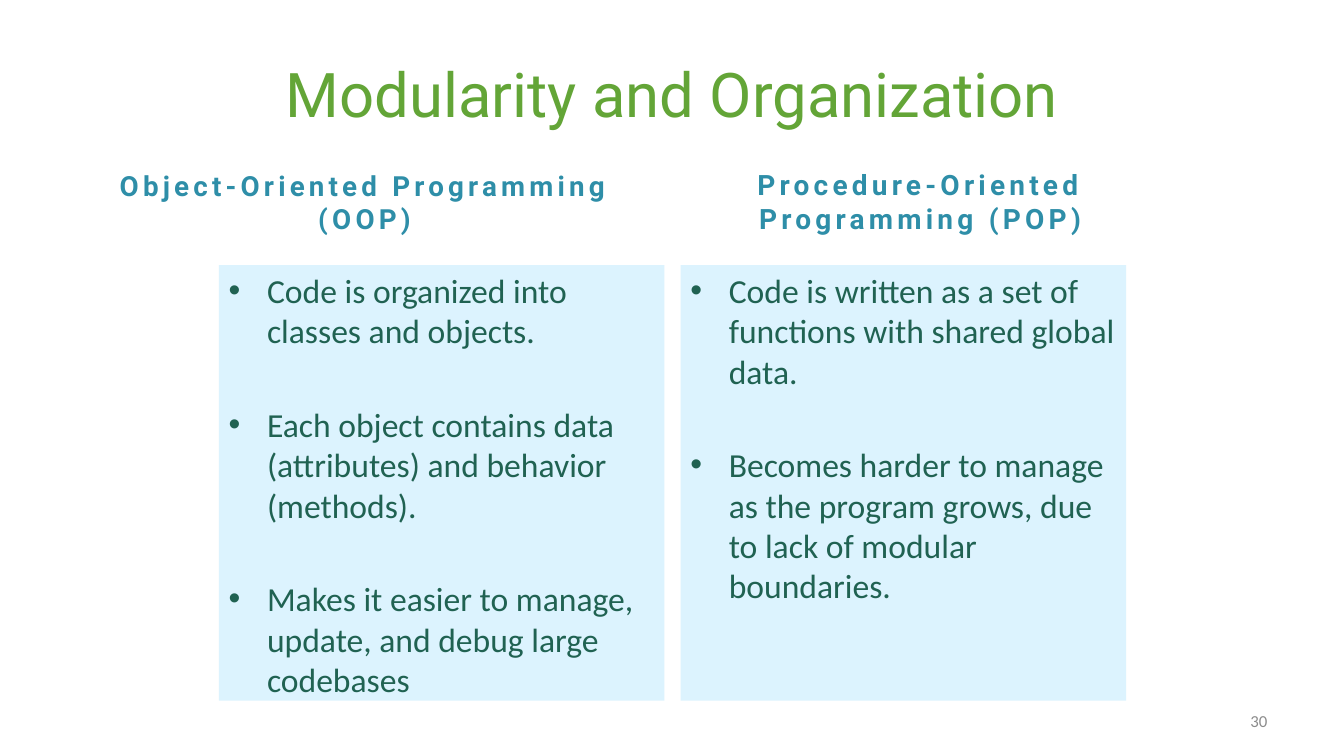
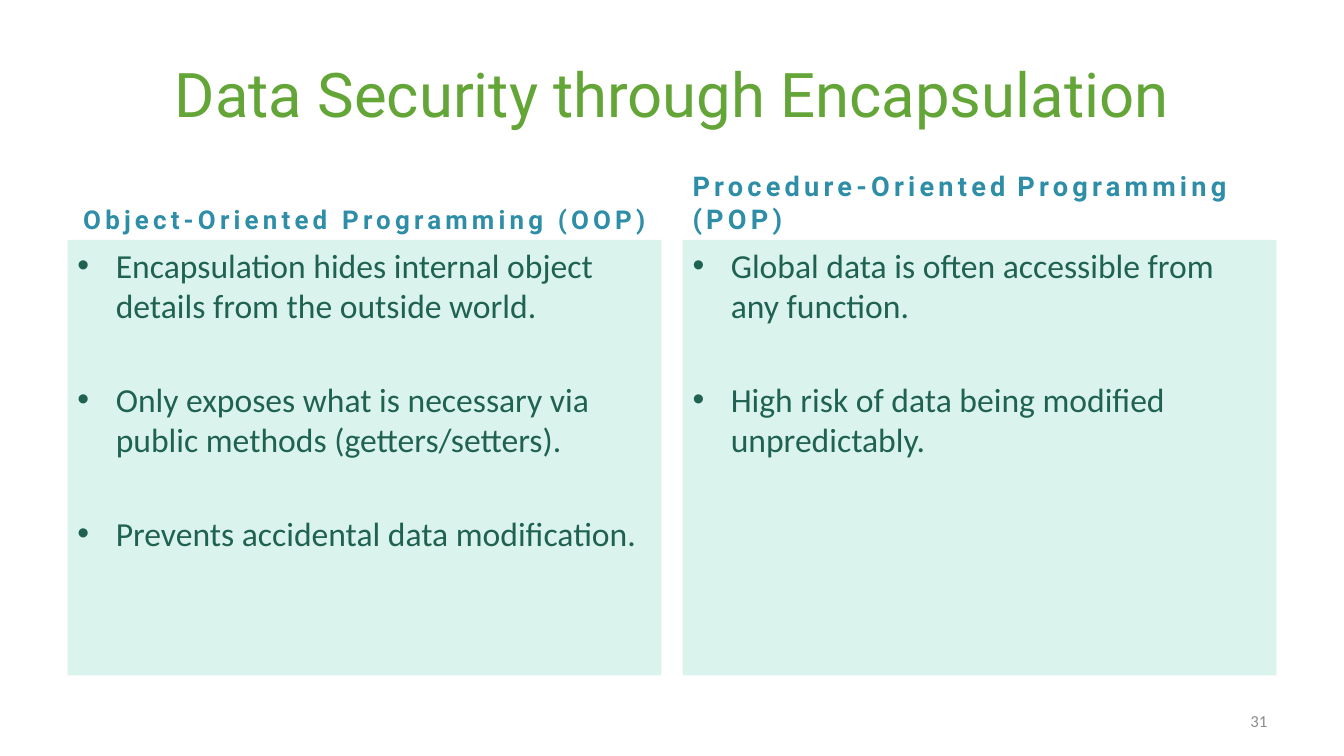
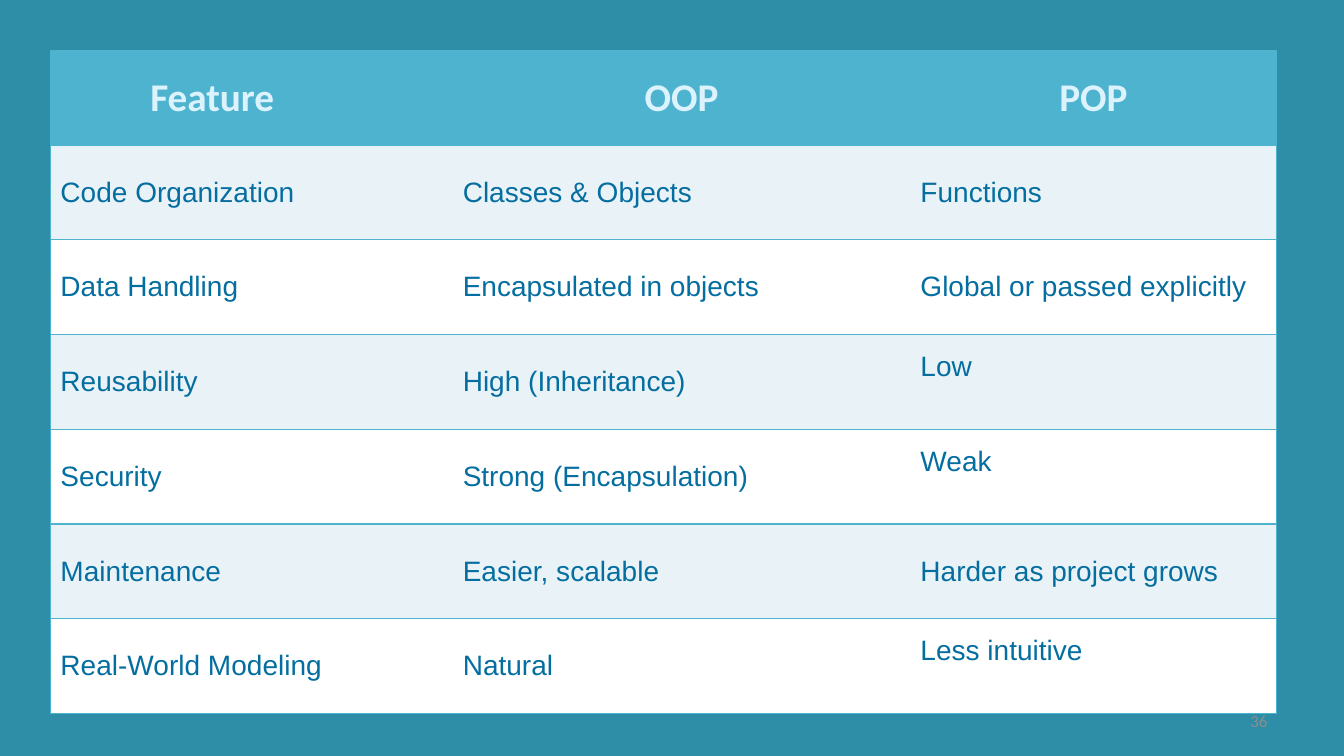
from lxml import etree
from pptx import Presentation
from pptx.dml.color import RGBColor
from pptx.enum import shapes, text
from pptx.oxml import ns
from pptx.util import Inches, Pt

# Shared style
GREEN, TEAL, DARK_GREEN, GREY = "63A537", "2E8EA8", "206252", "8C8C8C"
SKY, MINT, WHITE = "DCF3FE", "DAF3ED", "FFFFFF"
RULE, BAND, TABLE_BLUE = "4EB3CF", "E9F2F6", "056EA0"
HEAD_FONT, BODY_FONT, TABLE_FONT = "Roboto", "Calibri", "Arial"
LEFT, CENTER, RIGHT = text.PP_ALIGN.LEFT, text.PP_ALIGN.CENTER, text.PP_ALIGN.RIGHT
TOP, MIDDLE, BOTTOM = (text.MSO_ANCHOR.TOP, text.MSO_ANCHOR.MIDDLE,
                       text.MSO_ANCHOR.BOTTOM)

# Shared geometry, in inches
MARGIN, HEAD_TOP, HEAD_HEIGHT, PANEL_HEIGHT = 0.67, 1.68, 0.7, 4.32
INDENT = Inches(0.38)


def color(hex_code):
    return RGBColor.from_string(hex_code)


def paint(fill, hex_code):
    fill.solid()
    fill.fore_color.rgb = color(hex_code)


def style_run(run, size, font, hex_code, bold=False, spacing=0):
    run.font.size = Pt(size)
    run.font.name = font
    run.font.bold = bold
    run.font.color.rgb = color(hex_code)
    if spacing:
        run.font._element.set("spc", str(spacing * 100))


def set_frame(frame, anchor):
    frame.word_wrap = True
    frame.auto_size = text.MSO_AUTO_SIZE.NONE
    frame.vertical_anchor = anchor


def add_label(slide, box, anchor, align):
    """Add an empty text box and return its first paragraph."""
    frame = slide.shapes.add_textbox(*map(Inches, box)).text_frame
    set_frame(frame, anchor)
    frame.paragraphs[0].alignment = align
    return frame.paragraphs[0]


def set_title(slide, words):
    title = slide.shapes.title
    title.left, title.top, title.width, title.height = map(
        Inches, (MARGIN, 0.3, 12, 1.25))
    title.text_frame.text = words
    set_frame(title.text_frame, MIDDLE)
    paragraph = title.text_frame.paragraphs[0]
    paragraph.alignment = CENTER
    style_run(paragraph.runs[0], 44, HEAD_FONT, GREEN)


def add_page_number(slide, number):
    paragraph = add_label(slide, (9.56, 6.95, 3.11, 0.4), MIDDLE, RIGHT)
    paragraph.text = str(number)
    style_run(paragraph.runs[0], 12, BODY_FONT, GREY)


def add_heading(slide, left, width, parts, size, align=CENTER):
    """Add a spaced bold heading; a wider space joins its parts."""
    paragraph = add_label(slide, (left, HEAD_TOP, width, HEAD_HEIGHT), BOTTOM, align)
    for index, part in enumerate(parts):
        if index:
            joint = paragraph.add_run()
            joint.text = " "
            style_run(joint, 22.2, BODY_FONT, TEAL, bold=True)
        run = paragraph.add_run()
        run.text = part
        style_run(run, size, HEAD_FONT, TEAL, bold=True, spacing=3)


def add_bullet_panel(slide, left, top, width, fill, points):
    panel = slide.shapes.add_shape(
        shapes.MSO_SHAPE.RECTANGLE,
        *map(Inches, (left, top, width, PANEL_HEIGHT)))
    panel.shadow.inherit = False
    panel.line.fill.background()
    paint(panel.fill, fill)
    set_frame(panel.text_frame, TOP)
    panel.text_frame.text = "\n".join(points)
    for index, paragraph in enumerate(panel.text_frame.paragraphs):
        paragraph.alignment = LEFT
        paragraph.space_before = Pt(38 if index else 0)
        props = paragraph._p.get_or_add_pPr()
        props.set("marL", str(INDENT))
        props.set("indent", str(-INDENT))
        etree.SubElement(props, ns.qn("a:buFont")).set("typeface", "Arial")
        etree.SubElement(props, ns.qn("a:buChar")).set("char", "•")
        style_run(paragraph.runs[0], 24, BODY_FONT, DARK_GREEN)


def set_borders(cell, visible):
    """Draw the sides named in visible (of L, R, T, B); hide the others."""
    props = cell._tc.get_or_add_tcPr()
    for side in "LRTB":
        line = etree.SubElement(props, ns.qn("a:ln" + side), w=str(Pt(1)))
        if side in visible:
            solid = etree.SubElement(line, ns.qn("a:solidFill"))
            etree.SubElement(solid, ns.qn("a:srgbClr"), val=RULE)
        else:
            etree.SubElement(line, ns.qn("a:noFill"))


def add_feature_table(slide, rows, widths, row_height, raised):
    table = slide.shapes.add_table(
        len(rows), len(widths), Inches(0.5), Inches(0.5),
        Inches(sum(widths)), Inches(row_height * len(rows))).table
    for column, width in zip(table.columns, widths):
        column.width = Inches(width)
    for r, row in enumerate(rows):
        table.rows[r].height = Inches(row_height)
        for c, words in enumerate(row):
            cell = table.cell(r, c)
            sides = "TB" + ("L" if c == 0 else "R" if c == len(row) - 1 else "")
            set_borders(cell, sides)
            paint(cell.fill, RULE if r == 0 else BAND if r % 2 else WHITE)
            cell.vertical_anchor = MIDDLE
            cell.text_frame.text = words
            paragraph = cell.text_frame.paragraphs[0]
            run = paragraph.runs[0]
            if r == 0:
                paragraph.alignment = CENTER
                style_run(run, 28, BODY_FONT, SKY, bold=True)
            else:
                style_run(run, 20, TABLE_FONT, TABLE_BLUE)
            if words in raised:
                cell.margin_bottom = Inches(0.35)
    # The first heading sits left of its column's centre
    table.cell(0, 0).margin_right = Inches(0.88)


def build_modularity(slide):
    set_title(slide, "Modularity and Organization")
    add_heading(slide, MARGIN, 5.89, ["Object-Oriented Programming (OOP)"], 19.8)
    add_bullet_panel(slide, 2.17, 2.63, 4.42, SKY, [
        "Code is organized into classes and objects.",
        "Each object contains data (attributes) and behavior (methods).",
        "Makes it easier to manage, update, and debug large codebases"])
    add_heading(slide, 6.75, 4.75, ["Procedure-Oriented Programming (POP)"], 20)
    add_bullet_panel(slide, 6.75, 2.63, 4.42, SKY, [
        "Code is written as a set of functions with shared global data.",
        "Becomes harder to manage as the program grows, due to lack of "
        "modular boundaries."])
    add_page_number(slide, 30)


def build_encapsulation(slide):
    width, right = 5.89, 6.77
    top = HEAD_TOP + HEAD_HEIGHT
    set_title(slide, "Data Security through Encapsulation")
    add_heading(slide, MARGIN, width, ["Object-Oriented Programming (OOP)"], 18.5)
    add_bullet_panel(slide, MARGIN, top, width, MINT, [
        "Encapsulation hides internal object details from the outside world.",
        "Only exposes what is necessary via public methods (getters/setters).",
        "Prevents accidental data modification."])
    add_heading(slide, right, width,
                ["Procedure-Oriented", "Programming (POP)"], 19.4, LEFT)
    add_bullet_panel(slide, right, top, width, MINT, [
        "Global data is often accessible from any function.",
        "High risk of data being modified unpredictably."])
    add_page_number(slide, 31)


def build_comparison(slide):
    paint(slide.background.fill, TEAL)
    add_feature_table(slide, [
        ("Feature", "OOP", "POP"),
        ("Code Organization", "Classes & Objects", "Functions"),
        ("Data Handling", "Encapsulated in objects", "Global or passed explicitly"),
        ("Reusability", "High (Inheritance)", "Low"),
        ("Security", "Strong (Encapsulation)", "Weak"),
        ("Maintenance", "Easier, scalable", "Harder as project grows"),
        ("Real-World Modeling", "Natural", "Less intuitive"),
    ], (3.99, 4.54, 3.63), 0.94, raised=("Low", "Weak", "Less intuitive"))
    add_page_number(slide, 36)


def main():
    deck = Presentation()
    deck.slide_width, deck.slide_height = Inches(13.33), Inches(7.5)
    title_only, blank = deck.slide_layouts[5], deck.slide_layouts[6]
    build_modularity(deck.slides.add_slide(title_only))
    build_encapsulation(deck.slides.add_slide(title_only))
    build_comparison(deck.slides.add_slide(blank))
    deck.save("out.pptx")


if __name__ == "__main__":
    main()
